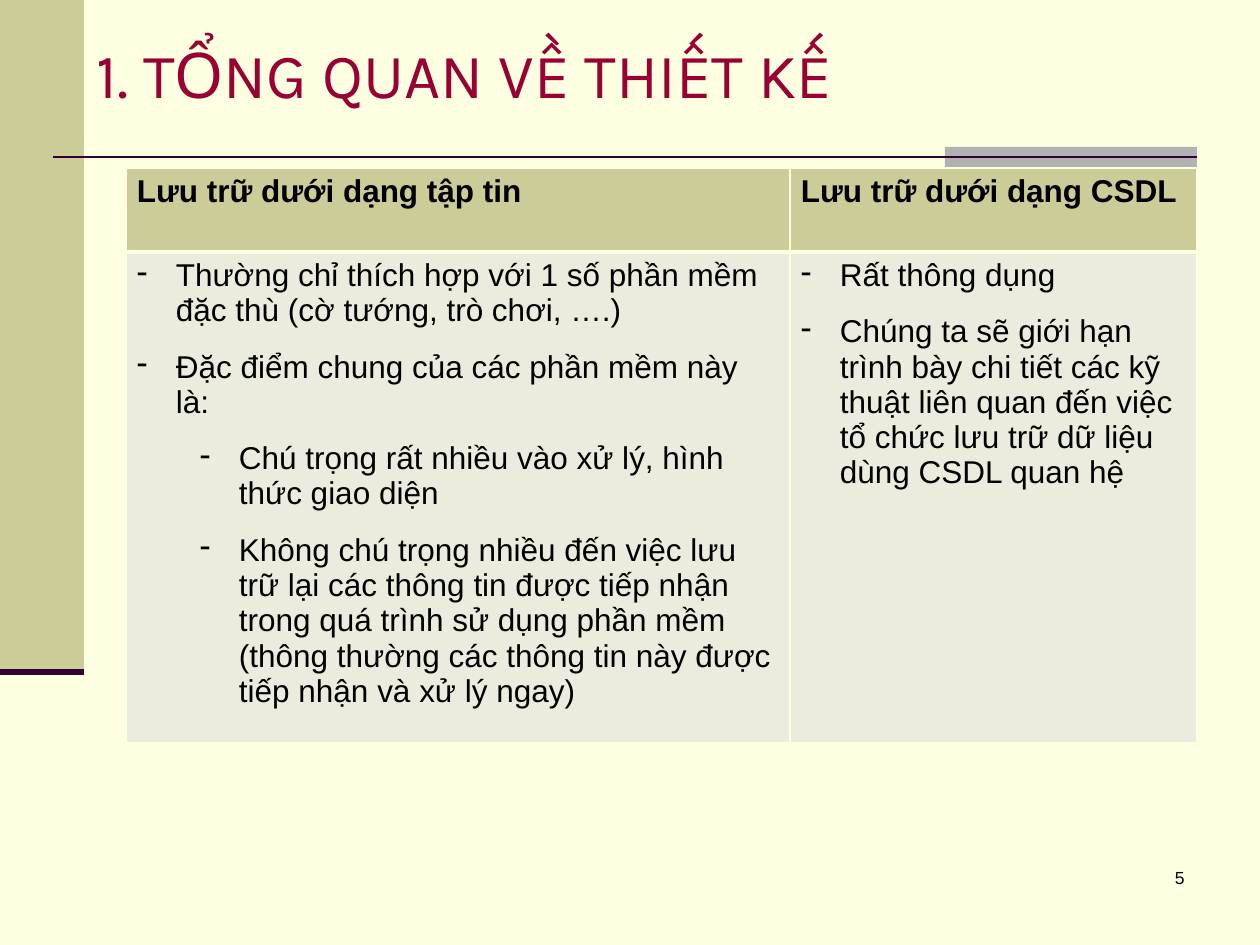
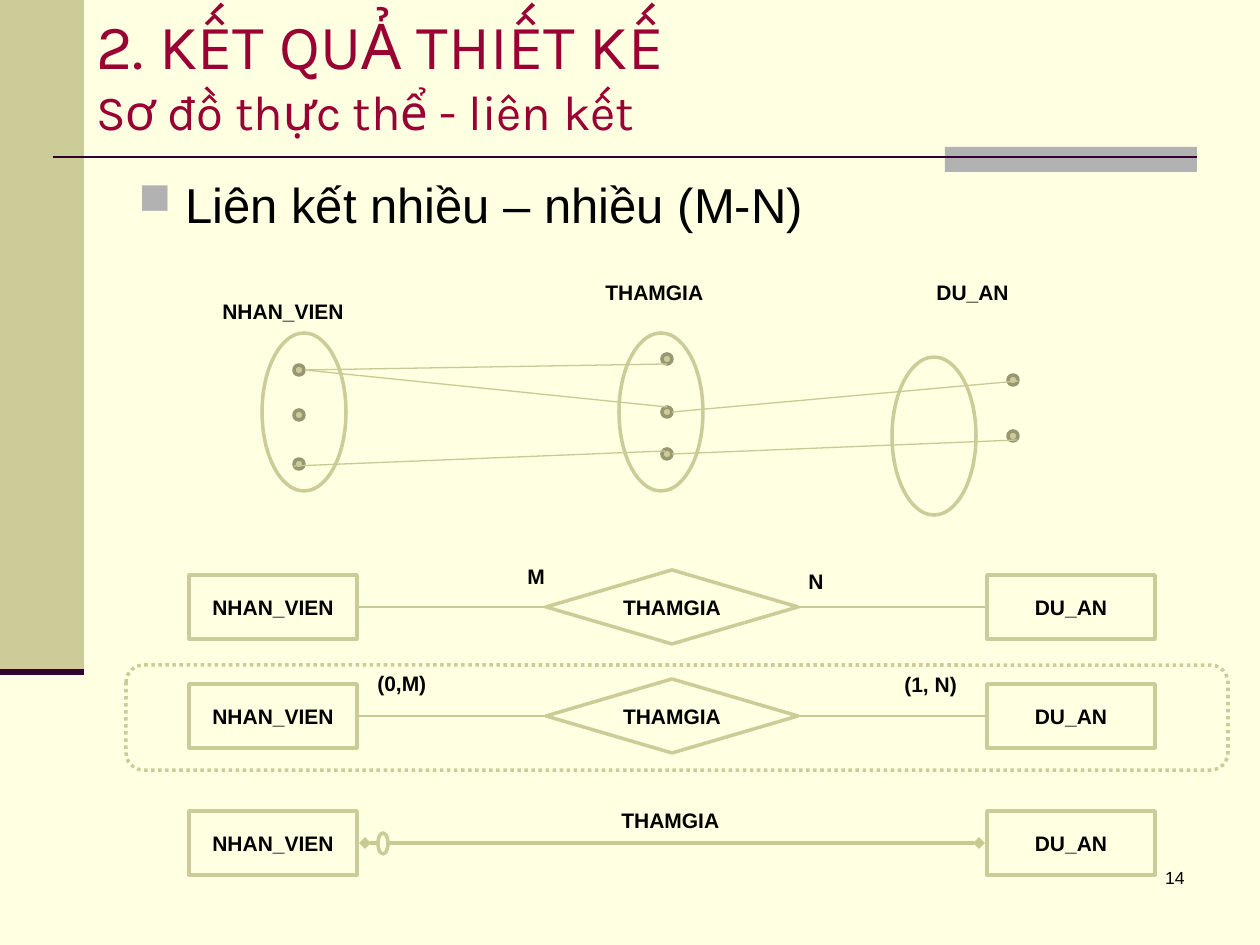
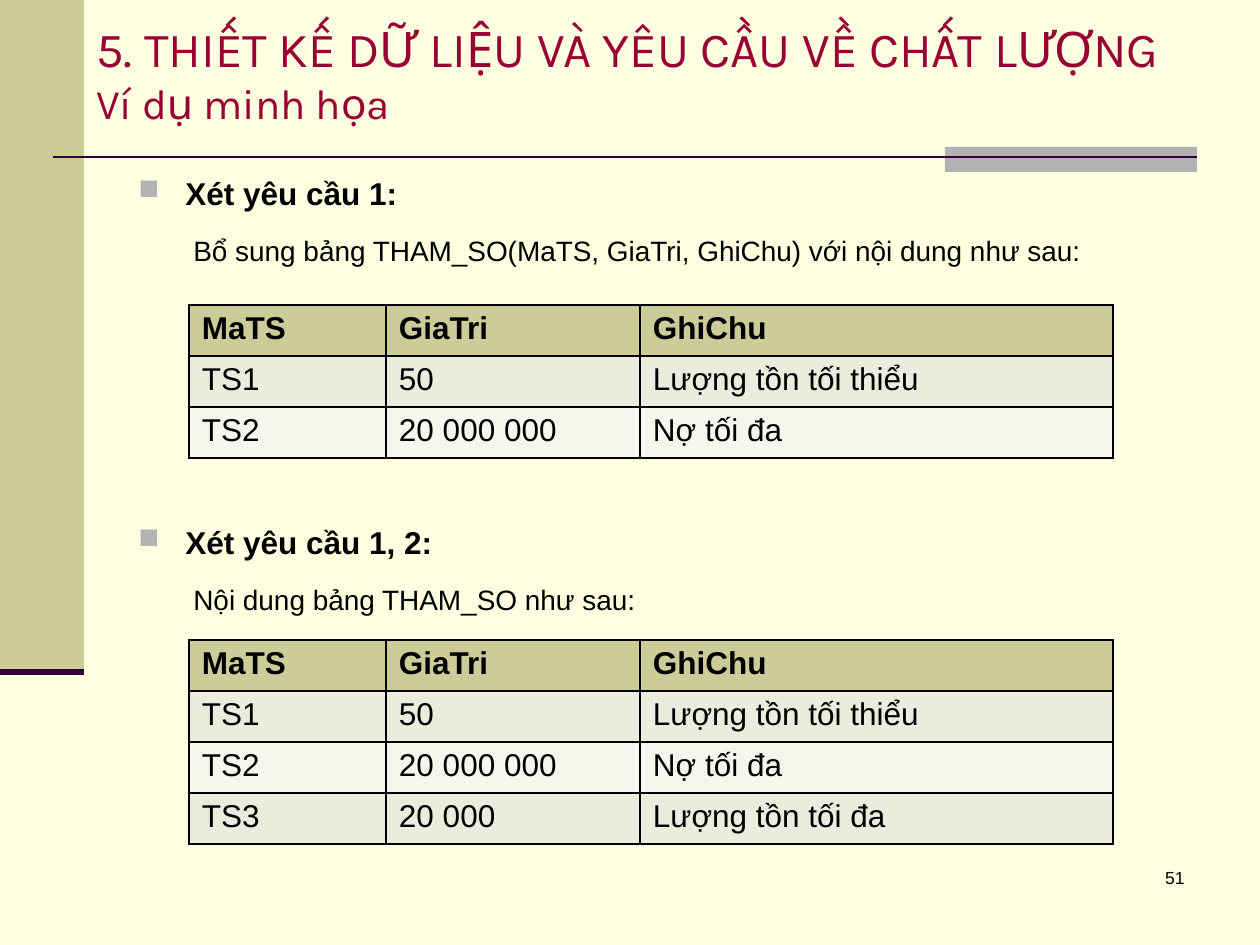
from dataclasses import dataclass

from lxml import etree
from pptx import Presentation
from pptx.dml.color import RGBColor
from pptx.enum.dml import MSO_LINE
from pptx.enum.shapes import MSO_CONNECTOR, MSO_SHAPE
from pptx.enum.text import MSO_ANCHOR, PP_ALIGN
from pptx.oxml.ns import qn
from pptx.util import Emu, Pt

STRAIGHT = MSO_CONNECTOR.STRAIGHT
RECTANGLE, OVAL = MSO_SHAPE.RECTANGLE, MSO_SHAPE.OVAL
DECISION = MSO_SHAPE.FLOWCHART_DECISION
ROUNDED_FRAME = MSO_SHAPE.FLOWCHART_ALTERNATE_PROCESS
DOTTED = MSO_LINE.ROUND_DOT
TOP, MIDDLE = MSO_ANCHOR.TOP, MSO_ANCHOR.MIDDLE
LEFT, CENTER, RIGHT = PP_ALIGN.LEFT, PP_ALIGN.CENTER, PP_ALIGN.RIGHT
LEFT_SIDE, RIGHT_SIDE = 1, 3
EMU_PER_PX = 914400 / 126


@dataclass(frozen=True)
class Theme:
    paper: str = "FFFFE1"
    olive: str = "CCCC99"
    olive_link: str = "C9C994"
    olive_dark: str = "979771"
    gray: str = "B2B2B2"
    plum: str = "330033"
    title: str = "990033"
    ink: str = "000000"
    row_tints: tuple = ("ECECDE", "F6F6EF")
    title_font: str = "Karla"
    body_font: str = "Arial"
    heading_size: int = 28
    text_size: int = 18
    note_size: int = 16
    label_size: int = 12
    number_size: int = 10
    paragraph_gap: int = 6
    outline: float = 2
    hairline: float = 0.75


THEME = Theme()

STORAGE_TITLE = [("1. TỔNG QUAN VỀ THIẾT KẾ", 36)]
STORAGE_HEADERS = ["Lưu trữ dưới dạng tập tin", "Lưu trữ dưới dạng CSDL"]
STORAGE_POINTS = [
    [
        (0, "Thường chỉ thích hợp với 1 số phần mềm đặc thù (cờ tướng, trò chơi, ….)"),
        (0, "Đặc điểm chung của các phần mềm này là:"),
        (1, "Chú trọng rất nhiều vào xử lý, hình thức giao diện"),
        (1, "Không chú trọng nhiều đến việc lưu trữ lại các thông tin được tiếp nhận "
            "trong quá trình sử dụng phần mềm (thông thường các thông tin này được "
            "tiếp nhận và xử lý ngay)"),
    ],
    [
        (0, "Rất thông dụng"),
        (0, "Chúng ta sẽ giới hạn trình bày chi tiết các kỹ thuật liên quan đến việc "
            "tổ chức lưu trữ dữ liệu dùng CSDL quan hệ"),
    ],
]

RELATION_TITLE = [("2. KẾT QUẢ THIẾT KẾ", 36), ("Sơ đồ thực thể - liên kết", 28)]
RELATION_HEADING = "Liên kết nhiều – nhiều (M-N)"
EMPLOYEE, JOINS, PROJECT = "NHAN_VIEN", "THAMGIA", "DU_AN"
SETS = [(892, 357), (262, 333), (619, 333)]
MEMBERS = {299: (370, 415, 464), 667: (359, 412, 454), 1013: (380, 436)}
PAIRINGS = [
    (305, 370, 667, 364),
    (305, 370, 667, 407),
    (294, 466, 665, 451),
    (672, 412, 1018, 381),
    (672, 454, 1017, 440),
]
DIAGRAM_LABELS = [
    (EMPLOYEE, 210, 292, 147),
    (JOINS, 593, 273, 136),
    (PROJECT, 924, 273, 157),
    ("M", 515, 557, 35),
    ("N", 796, 562, 50),
    ("(0,M)", 365, 664, 87),
    ("(1, N)", 892, 665, 87),
    (JOINS, 609, 801, 136),
]
DIAMOND_ROWS = [607, 716]
DIRECT_ROW = 843

QUALITY_TITLE = [("5. THIẾT KẾ DỮ LIỆU VÀ YÊU CẦU VỀ CHẤT LƯỢNG", 28), ("Ví dụ minh họa", 24)]
PARAMETER_HEADERS = ["MaTS", "GiaTri", "GhiChu"]
PARAMETERS = [
    ["TS1", "50", "Lượng tồn tối thiểu"],
    ["TS2", "20 000 000", "Nợ tối đa"],
    ["TS3", "20 000", "Lượng tồn tối đa"],
]
REQUIREMENTS = [
    ("Xét yêu cầu 1:",
     "Bổ sung bảng THAM_SO(MaTS, GiaTri, GhiChu) với nội dung như sau:", 2, 168, 305),
    ("Xét yêu cầu 1, 2:", "Nội dung bảng THAM_SO như sau:", 3, 517, 640),
]


def px(length):
    return Emu(round(length * EMU_PER_PX))


def box(*lengths):
    return [px(length) for length in lengths]


def rgb(color):
    return RGBColor.from_string(color)


def add_run(paragraph, text, size, bold=False, font=THEME.body_font, color=THEME.ink):
    run = paragraph.add_run()
    run.text = text
    run.font.size = Pt(size)
    run.font.bold = bold
    run.font.name = font
    run.font.color.rgb = rgb(color)


def next_paragraph(frame):
    first = frame.paragraphs[0]
    if not first.runs:
        first.space_after = Pt(THEME.paragraph_gap)
        return first
    paragraph = frame.add_paragraph()
    paragraph.space_before = paragraph.space_after = Pt(THEME.paragraph_gap)
    return paragraph


def indent(paragraph, margin, hanging=0, bullet=None, color=None, percent=None):
    properties = paragraph._p.get_or_add_pPr()
    properties.set("marL", str(px(margin)))
    properties.set("indent", str(-px(hanging)))
    if color:
        tint = etree.SubElement(properties, qn("a:buClr"))
        etree.SubElement(tint, qn("a:srgbClr"), val=color)
    if percent:
        etree.SubElement(properties, qn("a:buSzPct"), val=str(percent * 1000))
    if bullet:
        etree.SubElement(properties, qn("a:buChar"), char=bullet)


def add_frame(slide, left, top, width, height, anchor=TOP):
    frame = slide.shapes.add_textbox(*box(left, top, width, height)).text_frame
    frame.word_wrap = True
    frame.vertical_anchor = anchor
    return frame


def add_label(slide, text, left, top, width, height=38, size=THEME.label_size,
              bold=True, align=LEFT):
    paragraph = add_frame(slide, left, top, width, height).paragraphs[0]
    paragraph.alignment = align
    add_run(paragraph, text, size, bold)


def add_heading(frame, text, size, bold=False):
    paragraph = next_paragraph(frame)
    indent(paragraph, 47, 47, "■", THEME.gray, 90)
    add_run(paragraph, text, size, bold)


def add_figure(slide, preset, left, top, width, height, fill=THEME.paper,
               line=THEME.olive, text=None):
    figure = slide.shapes.add_shape(preset, *box(left, top, width, height))
    figure.shadow.inherit = False
    figure.fill.solid()
    figure.fill.fore_color.rgb = rgb(fill)
    if line:
        figure.line.color.rgb = rgb(line)
        figure.line.width = Pt(THEME.outline)
    else:
        figure.line.fill.background()
    if text:
        frame = figure.text_frame
        frame.margin_left = frame.margin_right = 0
        frame.vertical_anchor = MIDDLE
        frame.paragraphs[0].alignment = CENTER
        add_run(frame.paragraphs[0], text, THEME.label_size, True)
    return figure


def add_link(slide, ends, color=THEME.olive_link, width=THEME.hairline, arrowhead=None):
    link = slide.shapes.add_connector(STRAIGHT, *box(*ends))
    link.line.color.rgb = rgb(color)
    link.line.width = Pt(width)
    properties = link.element.spPr
    if arrowhead:
        outline = properties.find(qn("a:ln"))
        for end in ("a:headEnd", "a:tailEnd"):
            etree.SubElement(outline, qn(end), type=arrowhead)
    etree.SubElement(properties, qn("a:effectLst"))
    return link


def join(slide, start, finish):
    link = add_link(slide, (0, 0, 0, 0))
    link.begin_connect(start, RIGHT_SIDE)
    link.end_connect(finish, LEFT_SIDE)


def style_cell(cell, fill, border, side_margin, top=1, bottom=1):
    cell.margin_left = cell.margin_right = px(side_margin)
    cell.margin_top = cell.margin_bottom = px(6)
    properties = cell._tc.get_or_add_tcPr()
    for side, width in (("L", 1), ("R", 1), ("T", top), ("B", bottom)):
        edge = etree.SubElement(properties, qn(f"a:ln{side}"), w=str(Pt(width)))
        paint = etree.SubElement(edge, qn("a:solidFill"))
        etree.SubElement(paint, qn("a:srgbClr"), val=border)
    cell.fill.solid()
    cell.fill.fore_color.rgb = rgb(fill)


def add_grid(slide, left, top, widths, heights):
    grid = slide.shapes.add_table(
        len(heights), len(widths), *box(left, top, sum(widths), sum(heights))).table
    grid.first_row = grid.horz_banding = False
    for column, width in zip(grid.columns, widths):
        column.width = px(width)
    for row, height in zip(grid.rows, heights):
        row.height = px(height)
    return grid


def start_slide(deck, title, number):
    slide = deck.slides.add_slide(deck.slide_layouts[6])
    add_figure(slide, RECTANGLE, 0, 0, 84, 672, THEME.olive, None)
    add_figure(slide, RECTANGLE, 945, 147, 252, 25, THEME.gray, None)
    add_link(slide, (53, 157, 1197, 157), THEME.plum, 1.5)
    add_link(slide, (0, 672, 84, 672), THEME.plum, 3.5)
    heading = add_frame(slide, 84, 0, 1176, 147, MIDDLE).paragraphs[0]
    for position, (text, size) in enumerate(title):
        if position:
            heading.add_line_break()
        add_run(heading, text, size, font=THEME.title_font, color=THEME.title)
    add_label(slide, str(number), 935, 861, 262, 63, THEME.number_size, False, RIGHT)
    return slide


def build_storage(deck):
    slide = start_slide(deck, STORAGE_TITLE, 5)
    grid = add_grid(slide, 126, 168, (664, 407), (84, 484))
    for column, (header, points) in enumerate(zip(STORAGE_HEADERS, STORAGE_POINTS)):
        head, body = grid.cell(0, column), grid.cell(1, column)
        style_cell(head, THEME.olive, THEME.paper, 11, bottom=3)
        style_cell(body, THEME.row_tints[0], THEME.paper, 11, top=3)
        add_run(head.text_frame.paragraphs[0], header, THEME.text_size, True)
        for level, point in points:
            paragraph = next_paragraph(body.text_frame)
            paragraph.level = level
            indent(paragraph, 39 + 63 * level, 39, "-")
            add_run(paragraph, point, THEME.text_size)


def add_entities(slide, middle):
    return [add_figure(slide, RECTANGLE, left, middle - 32, 168, 64, text=entity)
            for entity, left in ((EMPLOYEE, 189), (PROJECT, 987))]


def build_relation(deck):
    slide = start_slide(deck, RELATION_TITLE, 14)
    add_heading(add_frame(slide, 126, 168, 1071, 76), RELATION_HEADING, THEME.heading_size)

    for left, top in SETS:
        add_figure(slide, OVAL, left, top, 84, 158)
    for center, heights in MEMBERS.items():
        for height in heights:
            add_figure(slide, OVAL, center - 5, height - 5, 10, 10,
                       THEME.olive, THEME.olive_dark)
    for ends in PAIRINGS:
        add_link(slide, ends)

    preferred = add_figure(slide, ROUNDED_FRAME, 126, 665, 1102, 105)
    preferred.line.dash_style = DOTTED
    for middle in DIAMOND_ROWS:
        employee, project = add_entities(slide, middle)
        joins = add_figure(slide, DECISION, 546, middle - 37, 252, 74, text=JOINS)
        join(slide, employee, joins)
        join(slide, joins, project)
    add_entities(slide, DIRECT_ROW)
    add_link(slide, (365, DIRECT_ROW, 979, DIRECT_ROW), width=2.25, arrowhead="diamond")
    add_figure(slide, OVAL, 378, DIRECT_ROW - 10, 10, 21)
    for label in DIAGRAM_LABELS:
        add_label(slide, *label)


def build_quality(deck):
    slide = start_slide(deck, QUALITY_TITLE, 51)
    for requirement, note, count, text_top, grid_top in REQUIREMENTS:
        frame = add_frame(slide, 126, text_top, 1071, 120)
        add_heading(frame, requirement, THEME.text_size, True)
        paragraph = next_paragraph(frame)
        paragraph.level = 1
        indent(paragraph, 55)
        add_run(paragraph, note, THEME.note_size)

        records = [PARAMETER_HEADERS] + PARAMETERS[:count]
        grid = add_grid(slide, 189, grid_top, (197, 254, 473), [51] * len(records))
        for row, record in enumerate(records):
            fill = THEME.row_tints[(row - 1) % 2] if row else THEME.olive
            for column, value in enumerate(record):
                cell = grid.cell(row, column)
                style_cell(cell, fill, THEME.ink, 13)
                add_run(cell.text_frame.paragraphs[0], value, THEME.text_size, row == 0)


def main():
    deck = Presentation()
    deck.slide_width, deck.slide_height = box(1260, 945)
    background = deck.slide_master.background.fill
    background.solid()
    background.fore_color.rgb = rgb(THEME.paper)
    build_storage(deck)
    build_relation(deck)
    build_quality(deck)
    deck.save("out.pptx")


if __name__ == "__main__":
    main()
